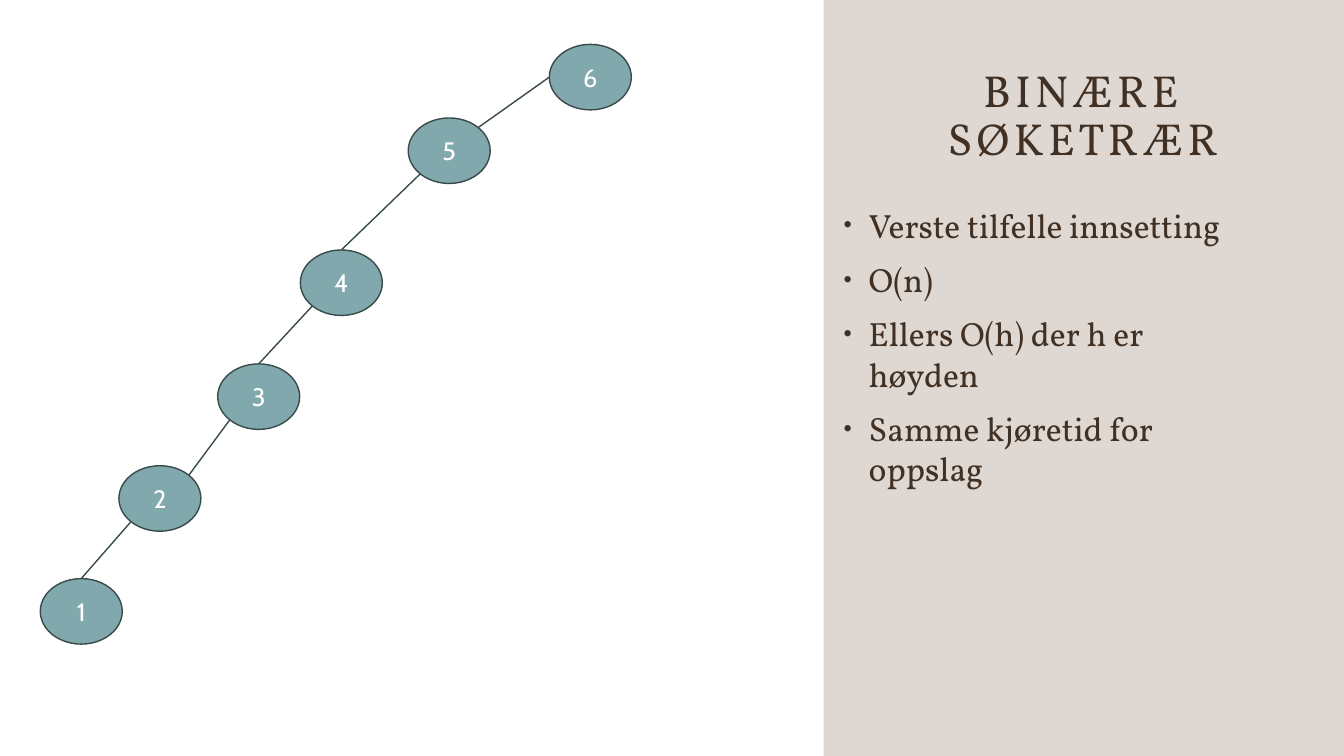
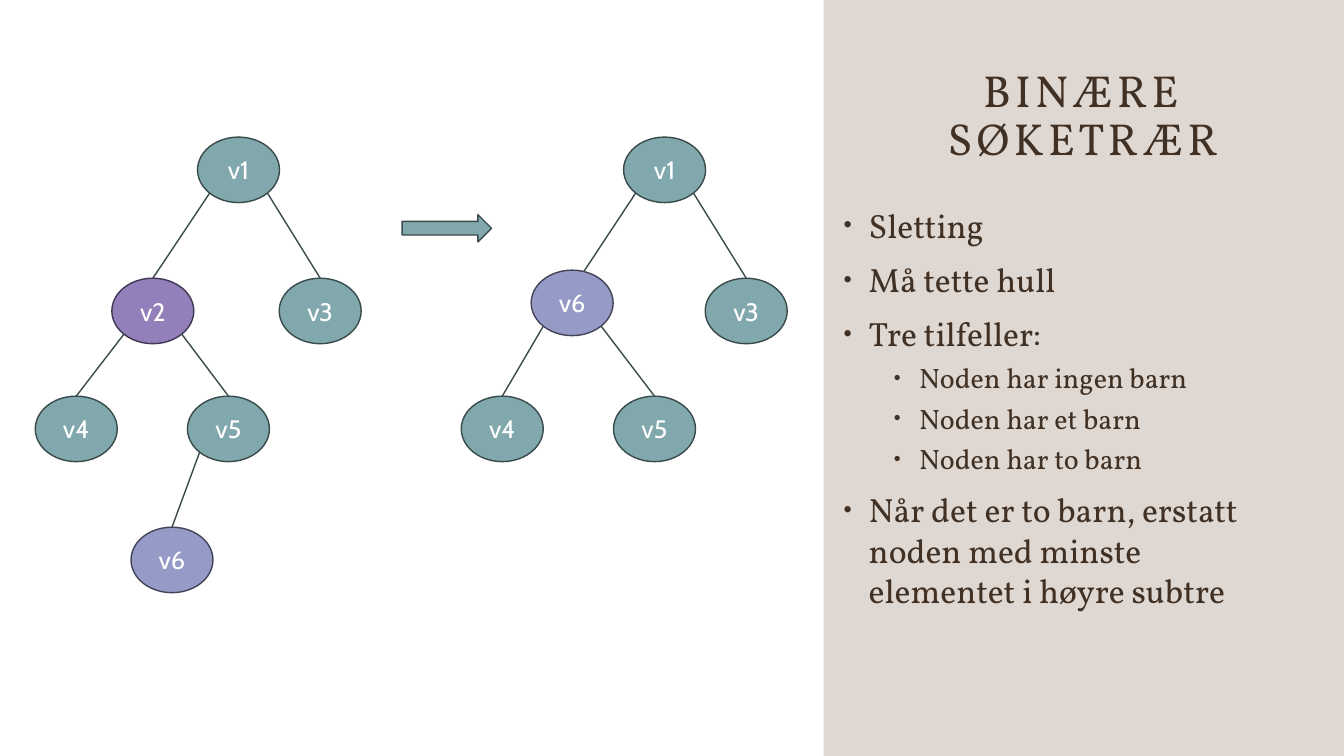
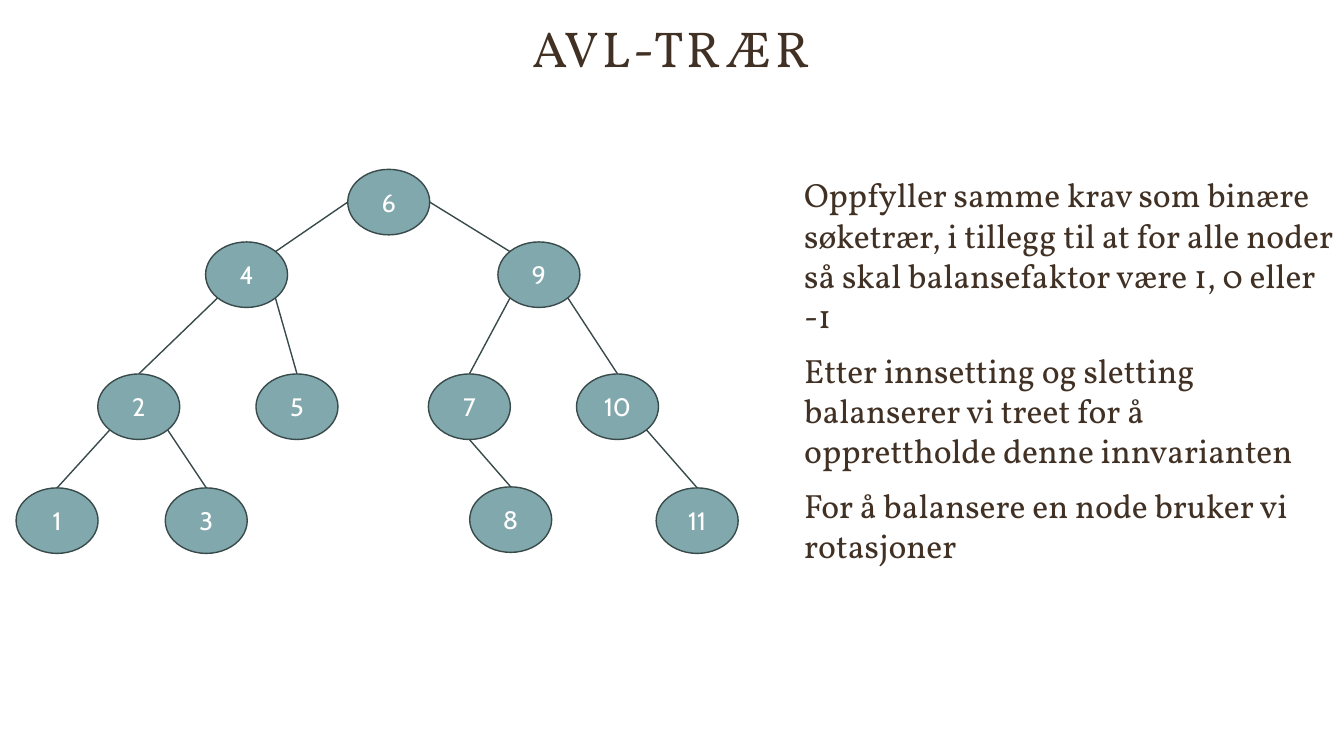
"""Build three slides on binary search trees and AVL trees."""
from dataclasses import dataclass
from typing import Any

from lxml.etree import SubElement
from pptx import Presentation
from pptx.dml.color import RGBColor
from pptx.enum.shapes import MSO_CONNECTOR, MSO_SHAPE
from pptx.enum.text import MSO_ANCHOR, MSO_AUTO_SIZE, PP_ALIGN
from pptx.oxml.ns import qn
from pptx.util import Inches, Pt

WIDE, HIGH = Inches(13.333), Inches(7.5)
COLS, ROWS = 40, 30
NODE_W, NODE_H = 2.44, 2.6
COLOURS = {
    "sand": "836348", "ink": "413124", "white": "FFFFFF",
    "teal": "81A8AC", "teal_edge": "394A4B",
    "plum": "937FBA", "plum_edge": "403852",
    "lilac": "969AC6", "lilac_edge": "424357",
}
SITES = {
    "n": (0.5, 0), "s": (0.5, 1), "l": (0, 0.5), "r": (1, 0.5),
    "nw": (0.15, 0.15), "ne": (0.85, 0.15),
    "sw": (0.15, 0.85), "se": (0.85, 0.85), "cap": (0.59, 0.12),
}
LABEL = {"name": "Cabin", "size": Pt(18)}
SERIF = {"name": "Vollkorn"}
FRAME = {"word_wrap": True, "auto_size": MSO_AUTO_SIZE.NONE}


@dataclass(frozen=True)
class Box:
    """Place and size in grid columns and rows."""
    col: float
    row: float
    wide: float
    high: float


@dataclass(frozen=True)
class Node:
    """Tree node with its top left corner on the grid."""
    text: str
    col: float
    row: float
    hue: str = "teal"


@dataclass(frozen=True)
class Edge:
    """Line from a site on the parent to a site on the child."""
    top: str
    start: str
    low: str
    end: str = "n"


@dataclass(frozen=True)
class Item:
    """Paragraph with its list level."""
    text: str
    level: int = 0


BAND = Box(24.51, 0, 15.49, 30)
SIDE_HEAD = Box(26.67, 1.04, 11.13, 5.72)
SIDE_BODY = Box(24.81, 7.92, 12.96, 19.68)
WIDE_HEAD = Box(4.38, -0.92, 31.2, 4.24)
WIDE_BODY = Box(23.64, 6.72, 16.47, 18.04)
ARROW = Box(11.97, 8.52, 2.66, 1.08)
SHIFT = 12.68

CHAIN = [
    Node("6", 16.35, 1.76), Node("5", 12.15, 4.68), Node("4", 8.94, 9.92),
    Node("3", 6.48, 14.44), Node("2", 3.54, 18.48), Node("1", 1.2, 22.96),
]
CHAIN_EDGES = [
    Edge("6", "l", "5", "ne"), Edge("5", "sw", "4"), Edge("4", "sw", "3"),
    Edge("3", "sw", "2", "ne"), Edge("2", "sw", "1"),
]
KEPT = [
    Node("v1", 5.88, 5.44), Node("v3", 8.31, 11.04),
    Node("v4", 1.05, 15.72), Node("v5", 5.58, 15.72),
]
OLD = KEPT + [Node("v2", 3.33, 11.04, "plum"), Node("v6", 3.9, 20.92, "lilac")]
NEW = KEPT + [Node("v6", 3.13, 10.72, "lilac")]
OLD_EDGES = [
    Edge("v1", "sw", "v2"), Edge("v1", "se", "v3"), Edge("v2", "sw", "v4"),
    Edge("v2", "se", "v5"), Edge("v5", "sw", "v6"),
]
NEW_EDGES = [
    Edge("v1", "sw", "v6", "cap"), Edge("v1", "se", "v3"),
    Edge("v6", "sw", "v4"), Edge("v6", "se", "v5"),
]
AVL = [
    Node("6", 10.35, 6.72), Node("9", 14.82, 9.6), Node("4", 6.12, 9.6),
    Node("2", 2.91, 14.84), Node("5", 7.62, 14.84), Node("7", 12.75, 14.84),
    Node("10", 17.16, 14.84), Node("1", 0.48, 19.36), Node("3", 4.92, 19.36),
    Node("11", 19.53, 19.36), Node("8", 13.98, 19.32),
]
AVL_EDGES = [
    Edge("6", "l", "4", "ne"), Edge("6", "r", "9", "nw"),
    Edge("9", "sw", "7"), Edge("9", "se", "10"),
    Edge("4", "sw", "2"), Edge("4", "se", "5"),
    Edge("2", "sw", "1"), Edge("2", "se", "3"),
    Edge("7", "s", "8"), Edge("10", "se", "11"),
]


def put(thing: Any, values: dict[str, Any]) -> None:
    """Set each attribute named in the values."""
    for name, value in values.items():
        setattr(thing, name, value)


def tint(name: str) -> RGBColor:
    """Look up a colour."""
    return RGBColor.from_string(COLOURS[name])


def across(col: float) -> int:
    """Turn columns into a length."""
    return round(WIDE * col / COLS)


def down(row: float) -> int:
    """Turn rows into a length."""
    return round(HIGH * row / ROWS)


def area(box: Box) -> tuple[int, int, int, int]:
    """Turn a grid box into lengths."""
    return across(box.col), down(box.row), across(box.wide), down(box.high)


def style(font: Any, values: dict[str, Any], hue: str) -> None:
    """Format a font."""
    put(font, values)
    font.color.rgb = tint(hue)


def stroke(line: Any, hue: str) -> None:
    """Format an outline."""
    line.color.rgb = tint(hue)
    line.width = Pt(1)


def form(slide: Any, kind: MSO_SHAPE, box: Box, hue: str) -> Any:
    """Add a filled and outlined shape."""
    shape = slide.shapes.add_shape(kind, *area(box))
    shape.shadow.inherit = False
    shape.fill.solid()
    shape.fill.fore_color.rgb = tint(hue)
    stroke(shape.line, f"{hue}_edge" if f"{hue}_edge" in COLOURS else hue)
    return shape


def head(slide: Any, text: str, box: Box, size: int) -> None:
    """Place and format the title."""
    title = slide.shapes.title
    put(title, dict(zip(("left", "top", "width", "height"), area(box))))
    frame = title.text_frame
    frame.text = text
    put(frame, FRAME | {"vertical_anchor": MSO_ANCHOR.BOTTOM})
    para = frame.paragraphs[0]
    put(para, {"alignment": PP_ALIGN.CENTER, "line_spacing": 0.9})
    style(para.runs[0].font, SERIF | {"size": Pt(size)}, "ink")
    for props in title.element.iter(qn("a:rPr")):
        props.set("spc", "300")


def band(slide: Any) -> None:
    """Lay the pale side band behind the title."""
    shape = form(slide, MSO_SHAPE.RECTANGLE, BAND, "sand")
    shape.line.fill.background()
    colour = shape.element.spPr.find(f"{qn('a:solidFill')}/{qn('a:srgbClr')}")
    SubElement(colour, qn("a:alpha"), val="25000")
    slide.shapes.title.element.addprevious(shape.element)


def bullet(para: Any, level: int) -> None:
    """Give a paragraph a hanging bullet."""
    props = para._p.get_or_add_pPr()
    props.set("marL", str(Inches(0.25 + 0.5 * level)))
    props.set("indent", str(Inches(-0.25)))
    SubElement(props, qn("a:buSzPct"), val="70000")
    SubElement(props, qn("a:buFont"), typeface="Arial")
    SubElement(props, qn("a:buChar"), char="•")


def body(slide: Any, box: Box, items: list[Item], dots: bool) -> None:
    """Add the running text."""
    frame = slide.shapes.add_textbox(*area(box)).text_frame
    put(frame, FRAME)
    for spot, item in enumerate(items):
        para = frame.add_paragraph() if spot else frame.paragraphs[0]
        put(para, {"level": item.level, "space_before": Pt(10 - 5 * item.level)})
        if dots:
            bullet(para, item.level)
        run = para.add_run()
        run.text = item.text
        style(run.font, SERIF | {"size": Pt(24 - 4 * item.level)}, "ink")


def point(node: Node, site: str, shift: float) -> tuple[int, int]:
    """Find a site on the rim of a node."""
    right, low = SITES[site]
    return (across(node.col + shift + right * NODE_W),
            down(node.row + low * NODE_H))


def tree(slide: Any, nodes: list[Node], edges: list[Edge],
         shift: float = 0) -> None:
    """Draw the edges of a tree, then its nodes."""
    known = {node.text: node for node in nodes}
    for edge in edges:
        line = slide.shapes.add_connector(
            MSO_CONNECTOR.STRAIGHT,
            *point(known[edge.top], edge.start, shift),
            *point(known[edge.low], edge.end, shift))
        stroke(line.line, "teal_edge")
        SubElement(line.element.spPr, qn("a:effectLst"))
    for node in nodes:
        box = Box(node.col + shift, node.row, NODE_W, NODE_H)
        oval = form(slide, MSO_SHAPE.OVAL, box, node.hue)
        frame = oval.text_frame
        frame.text = node.text
        frame.vertical_anchor = MSO_ANCHOR.MIDDLE
        para = frame.paragraphs[0]
        para.alignment = PP_ALIGN.CENTER
        style(para.runs[0].font, LABEL, "white")


def side(deck: Any, items: list[Item]) -> Any:
    """Add a slide with title and list on the side band."""
    slide = deck.slides.add_slide(deck.slide_layouts[5])
    band(slide)
    head(slide, "BINÆRE SØKETRÆR", SIDE_HEAD, 32)
    body(slide, SIDE_BODY, items, True)
    return slide


def main() -> None:
    """Build and save the deck."""
    deck = Presentation()
    put(deck, {"slide_width": WIDE, "slide_height": HIGH})

    worst = side(deck, [
        Item("Verste tilfelle innsetting"),
        Item("O(n)"),
        Item("Ellers O(h) der h er høyden"),
        Item("Samme kjøretid for oppslag"),
    ])
    tree(worst, CHAIN, CHAIN_EDGES)

    erase = side(deck, [
        Item("Sletting"),
        Item("Må tette hull"),
        Item("Tre tilfeller:"),
        Item("Noden har ingen barn", 1),
        Item("Noden har et barn", 1),
        Item("Noden har to barn", 1),
        Item("Når det er to barn, erstatt noden med minste "
             "elementet i høyre subtre"),
    ])
    tree(erase, OLD, OLD_EDGES)
    form(erase, MSO_SHAPE.RIGHT_ARROW, ARROW, "teal")
    tree(erase, NEW, NEW_EDGES, SHIFT)

    level = deck.slides.add_slide(deck.slide_layouts[5])
    head(level, "AVL-TRÆR", WIDE_HEAD, 36)
    body(level, WIDE_BODY, [
        Item("Oppfyller samme krav som binære søketrær, i tillegg til at "
             "for alle noder så skal balansefaktor være 1, 0 eller -1"),
        Item("Etter innsetting og sletting balanserer vi treet for å "
             "opprettholde denne innvarianten"),
        Item("For å balansere en node bruker vi rotasjoner"),
    ], False)
    tree(level, AVL, AVL_EDGES)

    deck.save("out.pptx")


main()
